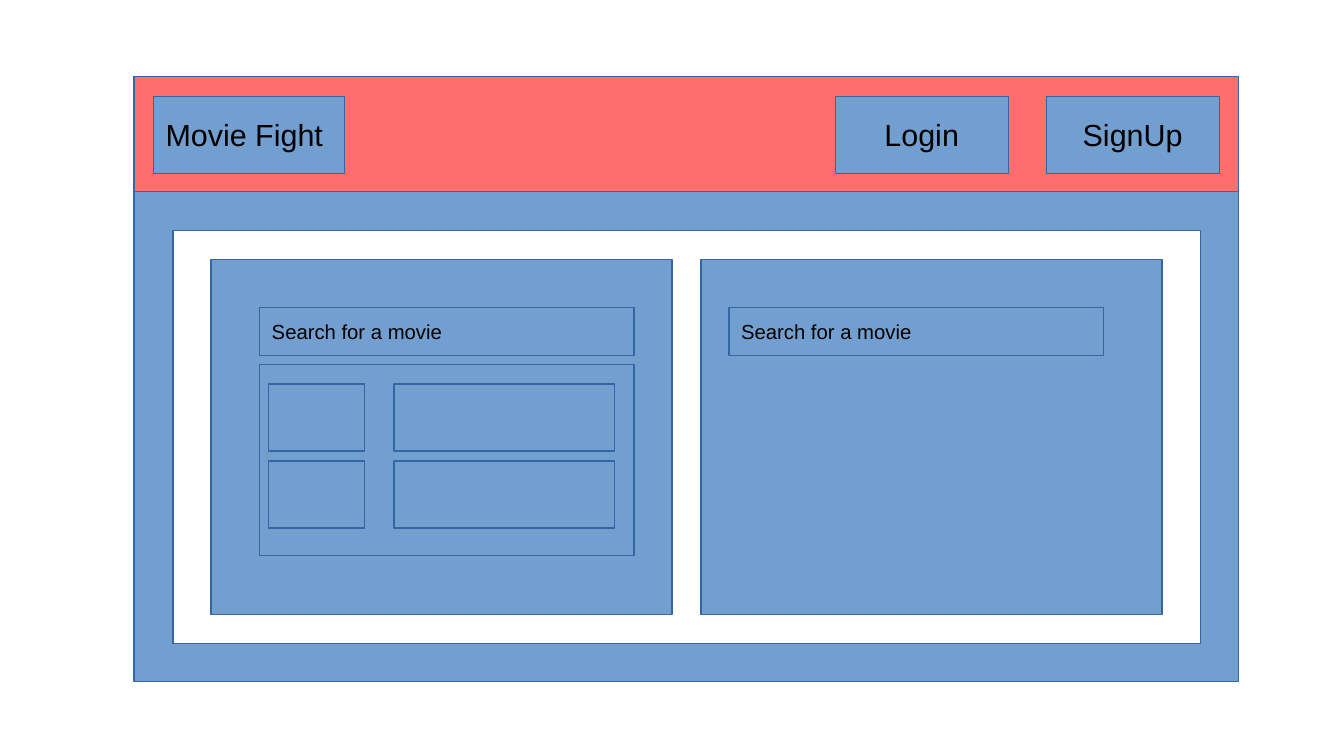
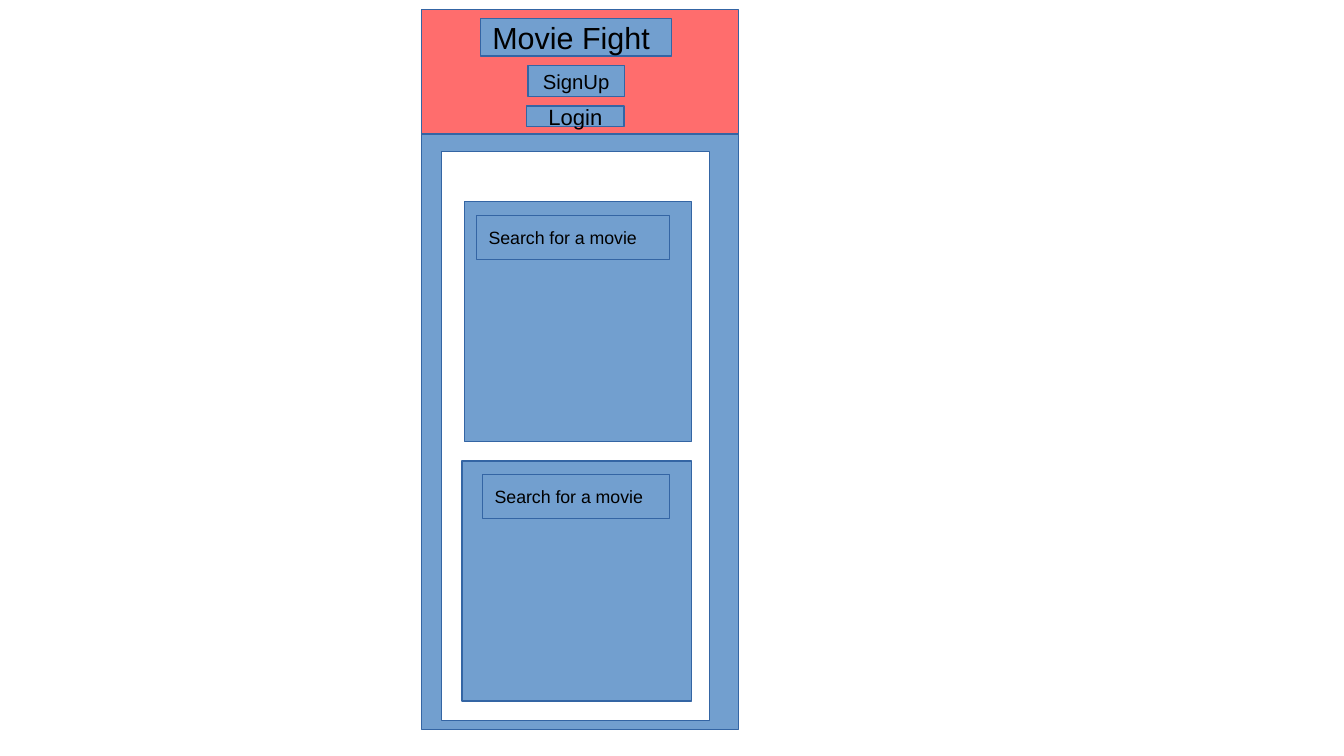
"""Build wide and narrow wireframes of the Movie Fight page."""
from dataclasses import dataclass
from itertools import product
from typing import NamedTuple

from pptx import Presentation
from pptx.dml.color import RGBColor
from pptx.enum.shapes import MSO_SHAPE as Preset
from pptx.enum.text import MSO_ANCHOR as Anchor, PP_ALIGN as Align
from pptx.slide import Slide
from pptx.util import Pt


@dataclass(frozen=True)
class Theme:
    font: str = "Arial"
    block: RGBColor = RGBColor(0x72, 0x9F, 0xCF)
    header: RGBColor = RGBColor(0xFF, 0x6D, 0x6D)
    content: RGBColor = RGBColor(0xFF, 0xFF, 0xFF)
    outline: RGBColor = RGBColor(0x34, 0x65, 0xA4)
    text: RGBColor = RGBColor(0, 0, 0)
    large: float = 18
    medium: float = 13
    regular: float = 12
    small: float = 10.5


THEME = Theme()


class Box(NamedTuple):
    left: float
    top: float
    width: float
    height: float


class Label(NamedTuple):
    text: str
    size: float
    align: Align = Align.LEFT


class Button(NamedTuple):
    text: str
    box: Box
    size: float


class Panel(NamedTuple):
    box: Box
    search: Box


@dataclass(frozen=True)
class Page:
    body: Box
    header: Box
    brand: Box
    buttons: tuple[Button, ...]
    content: Box
    panels: tuple[Panel, ...]
    search_size: float
    results: tuple[Box, ...] = ()


def result_boxes() -> tuple[Box, ...]:
    """Return the result list frame and its rows of poster and description."""
    frame = Box(153.4, 215.3, 221, 113)
    rows = (226.8, 272.2)
    columns = ((158.4, 56.9), (232.6, 130.3))
    cells = (Box(left, top, width, 39.6) for top, (left, width) in product(rows, columns))
    return frame, *cells


WIDE = Page(
    body=Box(79.2, 51.1, 652.3, 351.4),
    header=Box(79.2, 45.4, 652.3, 67.7),
    brand=Box(90.7, 56.9, 113, 45.4),
    buttons=(
        Button("Login", Box(493.2, 56.9, 102.2, 45.4), THEME.large),
        Button("SignUp", Box(617.8, 56.9, 102.2, 45.4), THEME.large),
    ),
    content=Box(102.2, 136.1, 607, 244.1),
    panels=(
        Panel(Box(124.6, 153.4, 272.2, 209.5), Box(153.4, 181.4, 221, 28.4)),
        Panel(Box(414, 153.4, 272.2, 209.5), Box(430.6, 181.4, 221, 28.4)),
    ),
    search_size=THEME.regular,
    results=result_boxes(),
)

NARROW = Page(
    body=Box(249.1, 10.8, 187.2, 419.8),
    header=Box(249.1, 5.8, 187.2, 73.4),
    brand=Box(283.7, 10.8, 113, 22.3),
    buttons=(
        Button("SignUp", Box(311.8, 38.9, 56.9, 18), THEME.regular),
        Button("Login", Box(311, 62.6, 57.6, 12.2), THEME.medium),
    ),
    content=Box(260.6, 89.3, 158.4, 336.2),
    panels=(
        Panel(Box(274.3, 118.8, 133.9, 141.8), Box(281.5, 127.4, 113.8, 25.9)),
        Panel(Box(272.9, 272.2, 135.4, 141.8), Box(285.1, 280.1, 110.2, 25.9)),
    ),
    search_size=THEME.small,
)


def draw_box(slide: Slide, box: Box, fill: RGBColor = THEME.block,
             label: Label | None = None) -> None:
    """Draw an outlined rectangle with an optional label."""
    shape = slide.shapes.add_shape(Preset.RECTANGLE, *map(Pt, box))
    shape.shadow.inherit = False
    shape.fill.solid()
    shape.fill.fore_color.rgb = fill
    shape.line.color.rgb = THEME.outline
    shape.line.width = Pt(0)
    if label is None:
        return
    frame = shape.text_frame
    frame.word_wrap = True
    frame.vertical_anchor = Anchor.MIDDLE
    paragraph = frame.paragraphs[0]
    paragraph.text = label.text
    paragraph.alignment = label.align
    paragraph.font.name = THEME.font
    paragraph.font.size = Pt(label.size)
    paragraph.font.color.rgb = THEME.text


def draw_page(slide: Slide, page: Page) -> None:
    """Draw one page wireframe from back to front."""
    draw_box(slide, page.body)
    draw_box(slide, page.header, THEME.header)
    draw_box(slide, page.brand, label=Label("Movie Fight", THEME.large))
    for button in page.buttons:
        draw_box(slide, button.box, label=Label(button.text, button.size, Align.CENTER))
    draw_box(slide, page.content, THEME.content)
    for panel in page.panels:
        draw_box(slide, panel.box)
        draw_box(slide, panel.search, label=Label("Search for a movie", page.search_size))
    for box in page.results:
        draw_box(slide, box)


def main() -> None:
    """Build and save the presentation."""
    presentation = Presentation()
    presentation.slide_width = Pt(793.7)
    presentation.slide_height = Pt(446.4)
    blank_layout = presentation.slide_layouts[6]
    for page in (WIDE, NARROW):
        draw_page(presentation.slides.add_slide(blank_layout), page)
    presentation.save("out.pptx")


if __name__ == "__main__":
    main()
